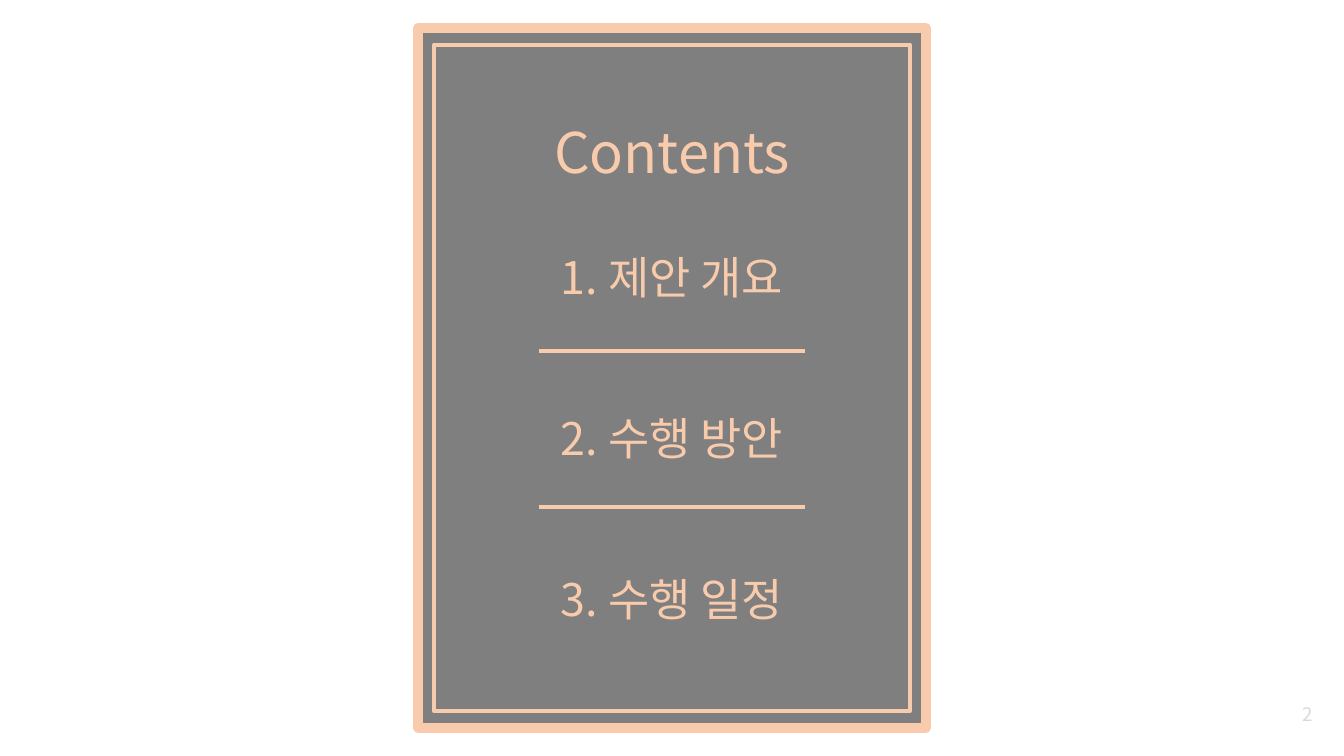
from dataclasses import dataclass

from lxml import etree
from pptx import Presentation
from pptx.dml.color import RGBColor
from pptx.enum.shapes import MSO_CONNECTOR, MSO_SHAPE
from pptx.enum.text import MSO_ANCHOR, PP_ALIGN
from pptx.oxml.ns import qn
from pptx.util import Inches, Pt

RECTANGLE = MSO_SHAPE.RECTANGLE
STRAIGHT = MSO_CONNECTOR.STRAIGHT
TOP, MIDDLE = MSO_ANCHOR.TOP, MSO_ANCHOR.MIDDLE
CENTER, RIGHT = PP_ALIGN.CENTER, PP_ALIGN.RIGHT

WIDTH = 10
HEIGHT = WIDTH * 9 / 16
BLANK_LAYOUT = 6


@dataclass(frozen=True)
class Theme:
    font: str = "Noto Sans CJK KR"
    peach: str = "F8CBAC"
    gray: str = "7F7F7F"
    pale: str = "D9D9D9"
    title_size: float = 30
    item_size: float = 24
    number_size: float = 10
    item_gap: float = 57.4
    border: float = 5
    inner_border: float = 2
    rule: float = 0


def color(value):
    return RGBColor.from_string(value)


def write_text(frame, lines, *, theme, size, ink, align=CENTER, gap=0):
    for index, line in enumerate(lines):
        paragraph = frame.paragraphs[0] if index == 0 else frame.add_paragraph()
        paragraph.alignment = align
        paragraph.space_before = Pt(gap if index else 0)
        run = paragraph.add_run()
        run.text = line
        run.font.size = Pt(size)
        run.font.name = theme.font
        run.font.color.rgb = color(ink)
        east_asian = etree.SubElement(run.font._element, qn("a:ea"))
        east_asian.set("typeface", theme.font)


class ContentsSlide:
    """Draws on one slide; positions are shares of its width and height."""

    def __init__(self, presentation, theme):
        self.theme = theme
        self.width = presentation.slide_width
        self.height = presentation.slide_height
        layout = presentation.slide_layouts[BLANK_LAYOUT]
        self.shapes = presentation.slides.add_slide(layout).shapes

    def place(self, left, top, width, height):
        return (round(left * self.width), round(top * self.height),
                round(width * self.width), round(height * self.height))

    def panel(self, width, height, border, fill=None):
        """Adds a bordered rectangle centred on the slide."""
        area = self.place((1 - width) / 2, (1 - height) / 2, width, height)
        shape = self.shapes.add_shape(RECTANGLE, *area)
        shape.shadow.inherit = False
        if fill:
            shape.fill.solid()
            shape.fill.fore_color.rgb = color(fill)
        else:
            shape.fill.background()
        shape.line.color.rgb = color(self.theme.peach)
        shape.line.width = Pt(border)

    def text(self, area, lines, *, anchor=MIDDLE, margins=(0.1, 0.1), **style):
        frame = self.shapes.add_textbox(*self.place(*area)).text_frame
        frame.word_wrap = True
        frame.vertical_anchor = anchor
        frame.margin_left = frame.margin_right = Inches(margins[0])
        frame.margin_top = frame.margin_bottom = Inches(margins[1])
        write_text(frame, lines, theme=self.theme, **style)

    def rule(self, left, right, y):
        x1, y1, x2, y2 = self.place(left, y, right, y)
        connector = self.shapes.add_connector(STRAIGHT, x1, y1, x2, y2)
        connector.line.color.rgb = color(self.theme.peach)
        connector.line.width = Pt(self.theme.rule)
        etree.SubElement(connector._element.spPr, qn("a:effectLst"))


def main():
    presentation = Presentation()
    presentation.slide_width = Inches(WIDTH)
    presentation.slide_height = Inches(HEIGHT)
    theme = Theme()
    slide = ContentsSlide(presentation, theme)

    # Framed panel
    slide.panel(0.378, 5.21 / HEIGHT, theme.border, fill=theme.gray)

    # Title and page number
    slide.text((0.374, 0.54 / HEIGHT, 0.252, 1.17 / HEIGHT), ["Contents"],
               size=theme.title_size, ink=theme.peach)
    slide.text((0.927, 5.1 / HEIGHT, 0.06, 0.43 / HEIGHT), ["2"],
               size=theme.number_size, ink=theme.pale, align=RIGHT)

    # Contents list
    slide.text((0.401, 1.81 / HEIGHT, 0.198, 2.93 / HEIGHT),
               ["1. 제안 개요", "2. 수행 방안", "3. 수행 일정"],
               anchor=TOP, margins=(0.1, 0.05), size=theme.item_size,
               ink=theme.peach, gap=theme.item_gap)

    # Inner frame and the rules between items
    slide.panel(0.354, 4.96 / HEIGHT, theme.inner_border)
    for y in (2.61, 3.77):
        slide.rule(0.401, 0.599, y / HEIGHT)

    presentation.save("out.pptx")


if __name__ == "__main__":
    main()
